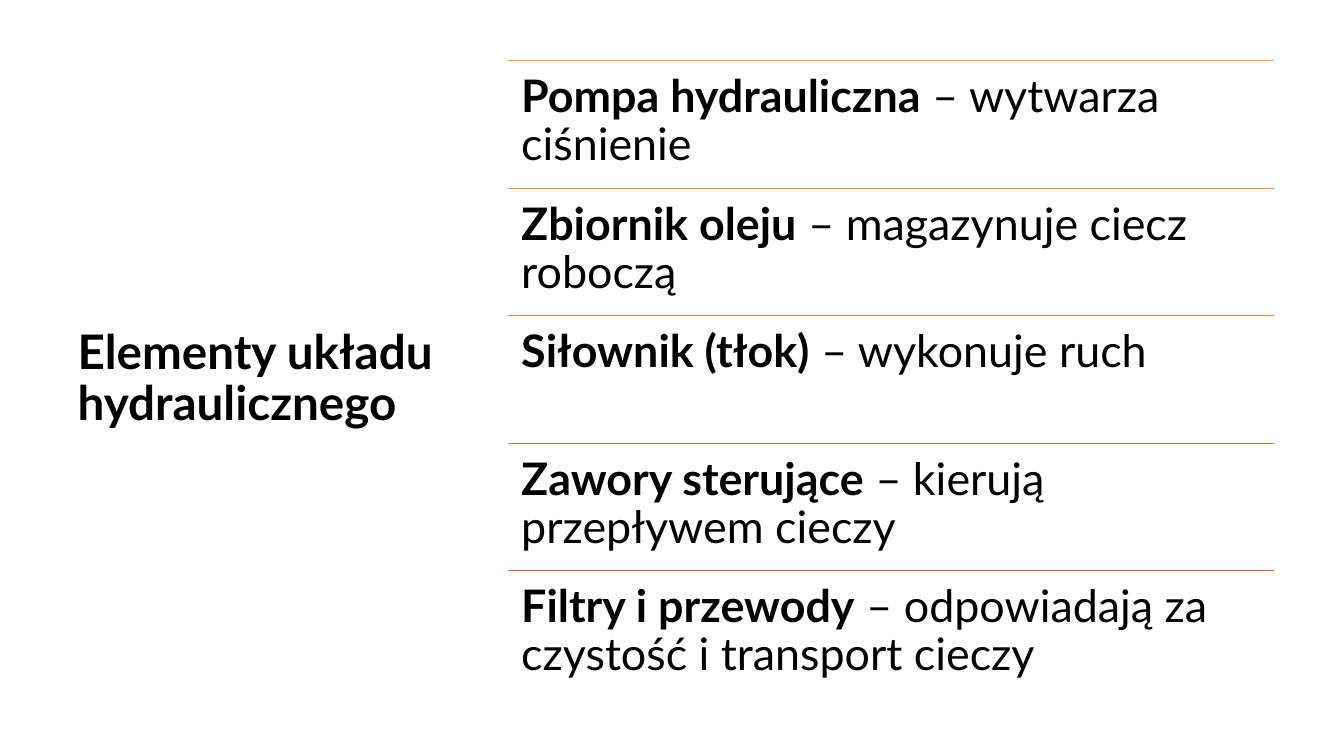
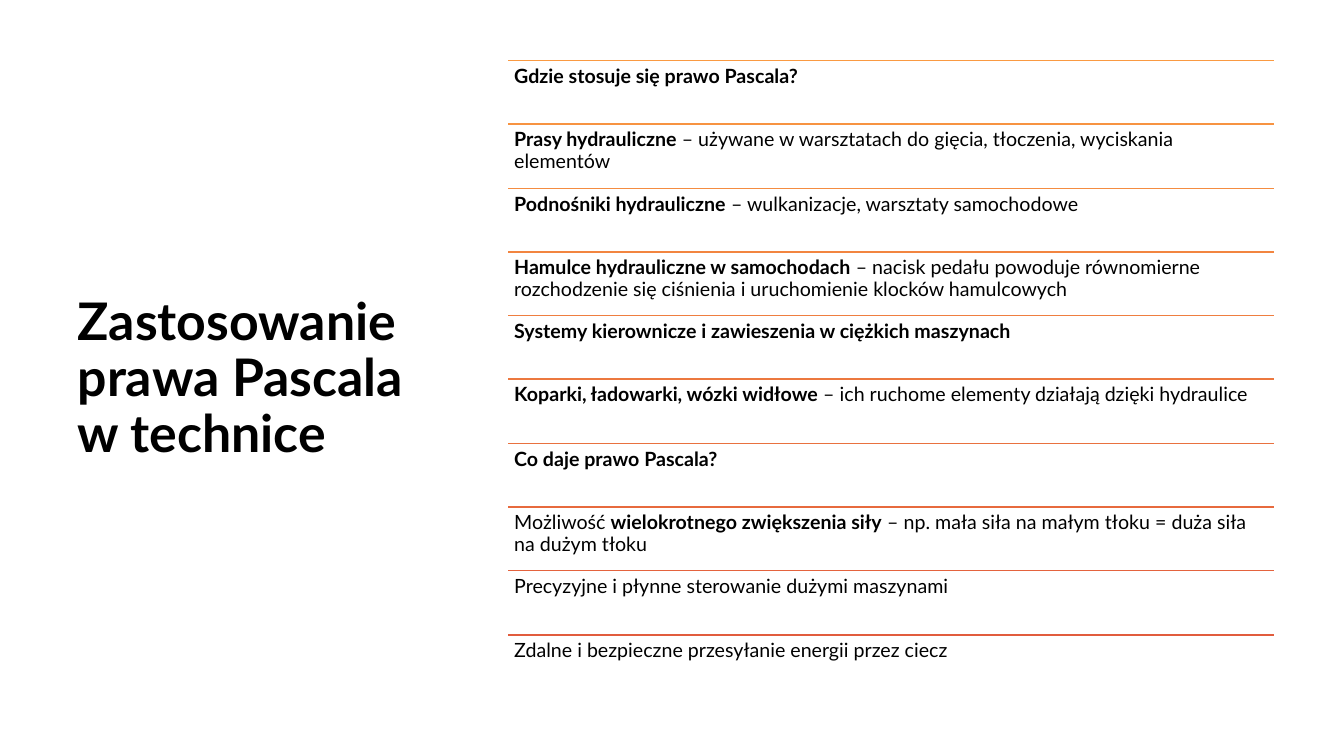
import pptx
import pptx.dml.color
import pptx.enum.shapes
import pptx.enum.text
import pptx.oxml
import pptx.util

EMU_PER_PX = 9144
FONT_NAME = "Lato"
TEXT_COLOR = "000000"
FIRST_RULE_COLOR = "FA9A42"
LAST_RULE_COLOR = "E15C3D"
TITLE_ONLY_LAYOUT = 5

CONTENT_TOP, CONTENT_HEIGHT = 60, 633
TITLE_LEFT, TITLE_WIDTH = 67, 382
LIST_LEFT, LIST_WIDTH = 504, 760

SLIDES = [
    {
        "title": "Elementy układu hydraulicznego",
        "title_size": 34,
        "size": 32,
        "inset": 13,
        "rows": [
            "**Pompa hydrauliczna** – wytwarza ciśnienie",
            "**Zbiornik oleju** – magazynuje ciecz roboczą",
            "**Siłownik (tłok)** – wykonuje ruch",
            "**Zawory sterujące** – kierują przepływem cieczy",
            "**Filtry i przewody** – odpowiadają za czystość i transport cieczy",
        ],
    },
    {
        "title": "Zastosowanie prawa Pascala w technice",
        "title_size": 37,
        "size": 14,
        "inset": 6,
        "rows": [
            "**Gdzie stosuje się prawo Pascala?**",
            "**Prasy hydrauliczne** – używane w warsztatach do gięcia, tłoczenia, wyciskania elementów",
            "**Podnośniki hydrauliczne** – wulkanizacje, warsztaty samochodowe",
            "**Hamulce hydrauliczne w samochodach** – nacisk pedału powoduje równomierne "
            "rozchodzenie się ciśnienia i uruchomienie klocków hamulcowych",
            "**Systemy kierownicze i zawieszenia w ciężkich maszynach**",
            "**Koparki, ładowarki, wózki widłowe** – ich ruchome elementy działają dzięki hydraulice",
            "**Co daje prawo Pascala?**",
            "Możliwość **wielokrotnego zwiększenia siły** – np. mała siła na małym tłoku = "
            "duża siła na dużym tłoku",
            "Precyzyjne i płynne sterowanie dużymi maszynami",
            "Zdalne i bezpieczne przesyłanie energii przez ciecz",
        ],
    },
]


def px(length):
    return pptx.util.Emu(length * EMU_PER_PX)


def color(value):
    return pptx.dml.color.RGBColor.from_string(value)


def blend(start, end, share):
    first, last = color(start), color(end)
    return "".join(f"{round(a + (b - a) * share):02X}" for a, b in zip(first, last))


def apply_format(target, values):
    for name, value in values.items():
        setattr(target, name, value)


def write_text(frame, text, size, inset, anchor):
    margins = ("margin_left", "margin_top", "margin_right", "margin_bottom")
    apply_format(frame, dict.fromkeys(margins, px(inset)))
    apply_format(frame, {
        "word_wrap": True,
        "auto_size": pptx.enum.text.MSO_AUTO_SIZE.NONE,
        "vertical_anchor": anchor,
    })
    para = frame.paragraphs[0]
    apply_format(para, {"alignment": pptx.enum.text.PP_ALIGN.LEFT, "line_spacing": 0.9})
    for index, part in enumerate(text.split("**")):
        if part:
            span = para.add_run()
            span.text = part
            apply_format(span.font, {
                "name": FONT_NAME,
                "size": pptx.util.Pt(size),
                "bold": index % 2 == 1,
            })
            span.font.color.rgb = color(TEXT_COLOR)


def format_title(page, text, size):
    title = page.shapes.title
    apply_format(title, {
        "left": px(TITLE_LEFT),
        "top": px(CONTENT_TOP),
        "width": px(TITLE_WIDTH),
        "height": px(CONTENT_HEIGHT),
    })
    write_text(title.text_frame, f"**{text}**", size, 10, pptx.enum.text.MSO_ANCHOR.MIDDLE)


def add_rule(page, top, rule_color):
    rule = page.shapes.add_connector(
        pptx.enum.shapes.MSO_CONNECTOR.STRAIGHT,
        px(LIST_LEFT), px(top), px(LIST_LEFT + LIST_WIDTH), px(top),
    )
    rule.line.width = pptx.util.Pt(1)
    rule.line.color.rgb = color(rule_color)
    properties = rule._element.spPr
    properties.append(pptx.oxml.parse_xml(
        '<a:effectLst xmlns:a="http://schemas.openxmlformats.org/drawingml/2006/main"/>'
    ))


def add_ruled_list(page, rows, size, inset):
    height = CONTENT_HEIGHT / len(rows)
    for index, text in enumerate(rows):
        top = round(CONTENT_TOP + index * height)
        share = index / (len(rows) - 1)
        add_rule(page, top, blend(FIRST_RULE_COLOR, LAST_RULE_COLOR, share))
        box = page.shapes.add_textbox(px(LIST_LEFT), px(top), px(LIST_WIDTH), px(round(height)))
        write_text(box.text_frame, text, size, inset, pptx.enum.text.MSO_ANCHOR.TOP)


def main():
    deck = pptx.Presentation()
    apply_format(deck, {"slide_width": px(1333), "slide_height": px(750)})
    for content in SLIDES:
        page = deck.slides.add_slide(deck.slide_layouts[TITLE_ONLY_LAYOUT])
        format_title(page, content["title"], content["title_size"])
        add_ruled_list(page, content["rows"], content["size"], content["inset"])
    deck.save("out.pptx")


if __name__ == "__main__":
    main()
